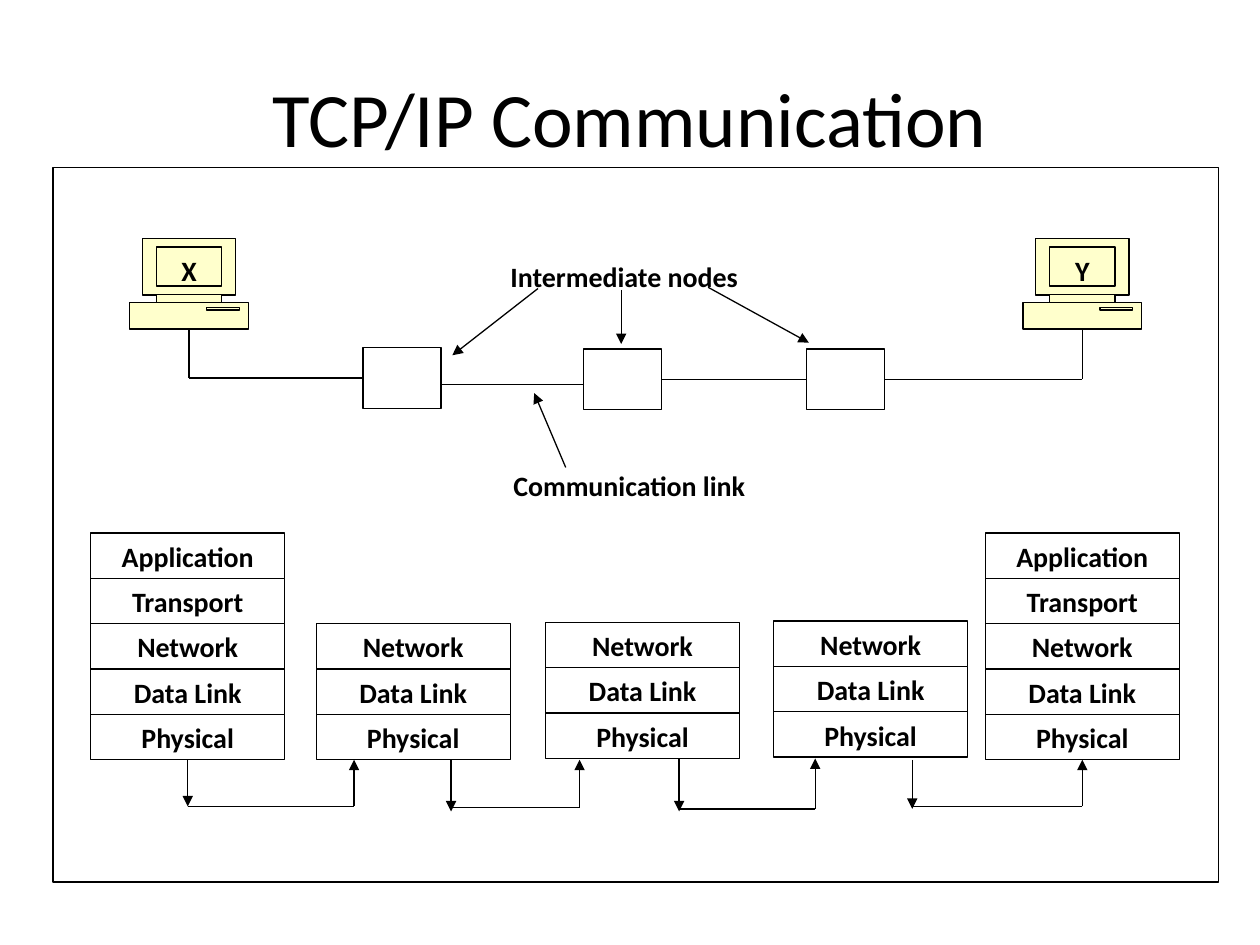
import pptx
import pptx.util
import pptx.dml.color
import pptx.enum.shapes
import pptx.enum.text
import pptx.oxml
import pptx.oxml.ns

Inches = pptx.util.Inches
Pt = pptx.util.Pt
RECT = pptx.enum.shapes.MSO_SHAPE.RECTANGLE
COLORS = {"ink": "000000", "paper": "FFFFFF", "case": "FFFFCC"}
LAYERS = ["Application", "Transport", "Network", "Data Link", "Physical"]
ROW = 0.36
TOP, LEFT, BOTTOM, RIGHT = range(4)


def rgb(name):
    return pptx.dml.color.RGBColor.from_string(COLORS[name])


def style(shape, fill=None, line=True):
    shape.shadow.inherit = False
    if fill:
        shape.fill.solid()
        shape.fill.fore_color.rgb = rgb(fill)
    else:
        shape.fill.background()
    if line:
        shape.line.color.rgb = rgb("ink")
        shape.line.width = Pt(0.75)
    else:
        shape.line.fill.background()


def write(shape, text, size=16, bold=True, anchor="TOP"):
    frame = shape.text_frame
    frame.word_wrap = True
    frame.vertical_anchor = pptx.enum.text.MSO_ANCHOR[anchor]
    para = frame.paragraphs[0]
    para.text = text
    para.alignment = pptx.enum.text.PP_ALIGN.CENTER
    para.font.name = "Calibri"
    para.font.size = Pt(size)
    para.font.bold = bold
    para.font.color.rgb = rgb("ink")


def box(slide, x, y, w, h, text=None, fill="paper", line=True):
    shape = slide.shapes.add_shape(RECT, *map(Inches, (x, y, w, h)))
    style(shape, fill, line)
    if text:
        write(shape, text)
    return shape


def wire(slide, start, end, arrow=False, tail=None, head=None):
    """Draw a line; tail and head are (shape, side) pairs joined to its ends."""
    line = slide.shapes.add_connector(
        pptx.enum.shapes.MSO_CONNECTOR.STRAIGHT, *map(Inches, start + end))
    line.line.color.rgb = rgb("ink")
    line.line.width = Pt(0.75)
    if tail:
        line.begin_connect(*tail)
    if head:
        line.end_connect(*head)
    props = line._element.spPr
    if arrow:
        tip = pptx.oxml.parse_xml(
            f'<a:tailEnd {pptx.oxml.ns.nsdecls("a")} type="triangle"/>')
        line.line._get_or_add_ln().append(tip)
    props.append(pptx.oxml.parse_xml(
        f'<a:effectLst {pptx.oxml.ns.nsdecls("a")}/>'))


def host(slide, mid, name):
    """Draw a desktop computer centred on mid."""
    half = [(0.37, 1.89), (0.37, 2.34), (0.26, 2.34),
            (0.26, 2.4), (0.47, 2.4), (0.47, 2.61)]
    points = [(mid + dx, y) for dx, y in half]
    points += [(mid - dx, y) for dx, y in reversed(half)]
    points = [(Inches(x), Inches(y)) for x, y in points]
    pen = slide.shapes.build_freeform(*points[0])
    pen.add_line_segments(points[1:], close=True)
    case = pen.convert_to_shape()
    style(case, "case")
    write(case, name)
    case.text_frame.margin_top = Inches(0.12)
    for dx, y, w, h in [(-0.26, 2.34, 0.52, 0.06), (-0.26, 1.96, 0.52, 0.31),
                        (0.14, 2.44, 0.26, 0.02)]:
        box(slide, mid + dx, y, w, h, fill=None)


def stack(slide, x, y, layers):
    """Pile up the layers and return the lowest box."""
    for i, layer in enumerate(layers):
        last = box(slide, x, y + i * ROW, 1.54, ROW, layer)
    return last


def network(slide):
    host(slide, 1.5, "X")
    host(slide, 8.59, "Y")
    box(slide, 3.42, 2.01, 3.07, 0.35, "Intermediate nodes", line=False)
    box(slide, 3.46, 3.67, 3.07, 0.35, "Communication link", line=False)
    first, second, third = [box(slide, x, y, 0.62, 0.48) for x, y in
                            [(2.88, 2.76), (4.63, 2.77), (6.4, 2.77)]]
    wire(slide, (1.5, 2.61), (1.5, 3))
    wire(slide, (1.5, 3), (2.88, 3), head=(first, LEFT))
    wire(slide, (3.5, 3.05), (4.63, 3.05))
    wire(slide, (5.25, 3.01), (6.4, 3.01),
         tail=(second, RIGHT), head=(third, LEFT))
    wire(slide, (7.02, 3.01), (8.59, 3.01), tail=(third, RIGHT))
    wire(slide, (8.59, 2.61), (8.59, 3.01))
    for start, end in [((4.27, 2.29), (3.59, 2.82)),
                       ((4.93, 2.3), (4.93, 2.73)),
                       ((5.62, 2.28), (6.42, 2.72)),
                       ((4.49, 3.71), (4.24, 3.12))]:
        wire(slide, start, end, arrow=True)


def layers(slide):
    source = stack(slide, 0.72, 4.23, LAYERS)
    for x, y in [(2.51, 4.95), (4.33, 4.94), (6.14, 4.93)]:
        stack(slide, x, y, LAYERS[2:])
    target = stack(slide, 7.82, 4.23, LAYERS)
    hops = [  # down x, up x, top, floor, tip of the down arrow
        (1.49, 2.81, 6.03, 6.4, 6.4), (3.58, 4.6, 6.03, 6.41, 6.44),
        (5.39, 6.47, 6.02, 6.42, 6.44), (7.24, 8.59, 6.03, 6.4, 6.42)]
    for down, up, top, floor, tip in hops:
        tail = (source, BOTTOM) if down == hops[0][0] else None
        head = (target, BOTTOM) if up == hops[-1][1] else None
        wire(slide, (down, top), (down, tip), arrow=True, tail=tail)
        wire(slide, (down, floor), (up, floor))
        wire(slide, (up, floor), (up, top), arrow=True, head=head)


def main():
    deck = pptx.Presentation()
    deck.slide_width, deck.slide_height = Inches(10), Inches(7.5)
    slide = deck.slides.add_slide(deck.slide_layouts[6])
    title = slide.shapes.add_textbox(*map(Inches, (0.5, 0.3, 9, 1.25)))
    write(title, "TCP/IP Communication", 44, False, "MIDDLE")
    box(slide, 0.42, 1.33, 9.25, 5.67)
    network(slide)
    layers(slide)
    deck.save("out.pptx")


if __name__ == "__main__":
    main()
